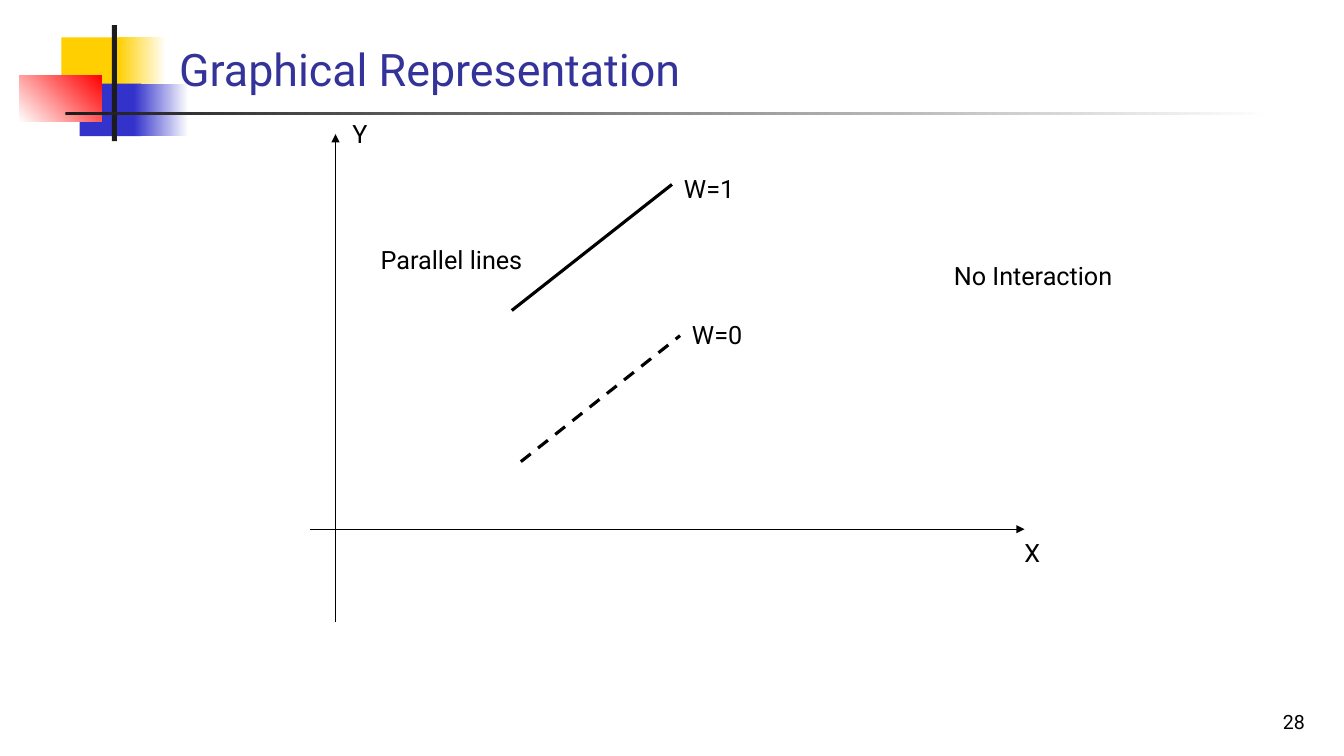
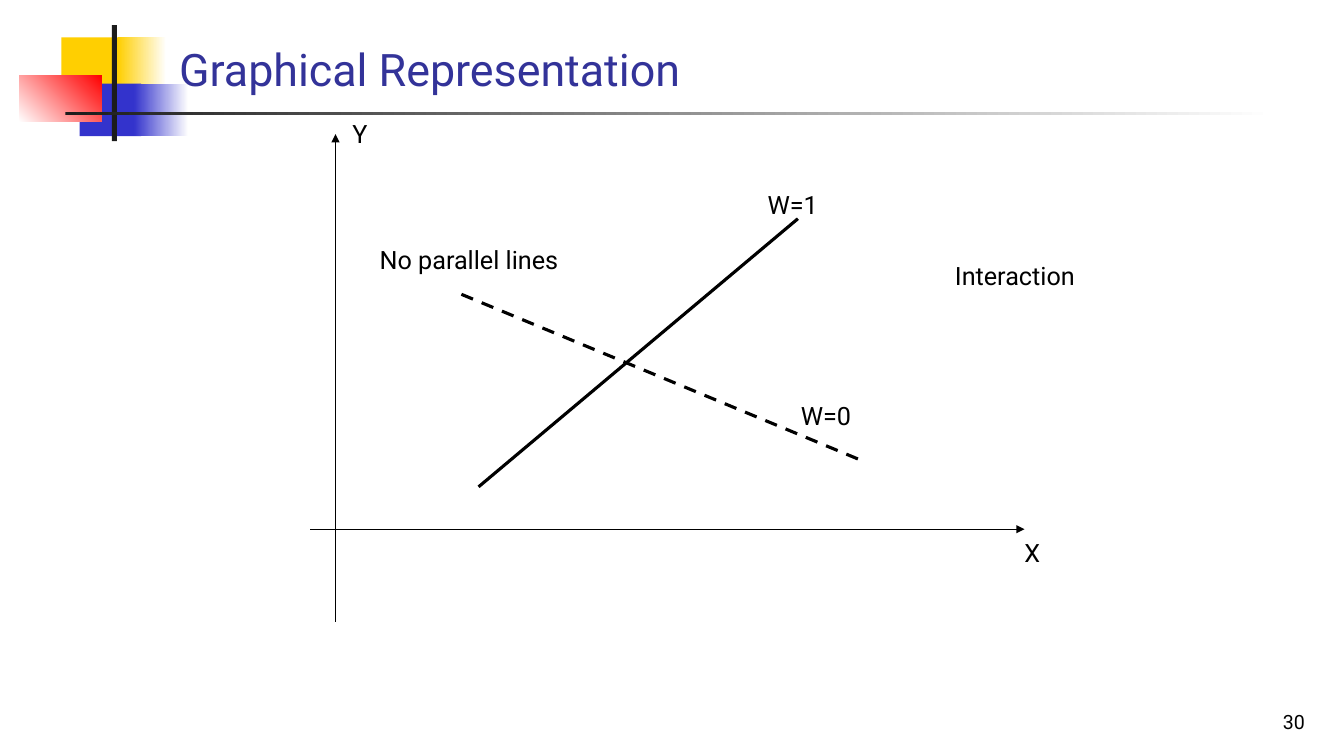
from lxml import etree
from pptx import Presentation
from pptx.dml.color import RGBColor
from pptx.enum.dml import MSO_LINE
from pptx.enum.shapes import MSO_CONNECTOR, MSO_SHAPE
from pptx.enum.text import MSO_ANCHOR, PP_ALIGN
from pptx.oxml.ns import qn
from pptx.util import Inches, Pt

FONT = "Roboto"
BLACK = RGBColor(0x00, 0x00, 0x00)
WHITE = RGBColor(0xFF, 0xFF, 0xFF)
YELLOW = RGBColor(0xFF, 0xCF, 0x01)
BLUE = RGBColor(0x33, 0x33, 0xCC)
RED = RGBColor(0xFF, 0x00, 0x00)
CHARCOAL = RGBColor(0x1C, 0x1C, 0x1C)
TITLE_COLOR = RGBColor(0x33, 0x33, 0x99)

# Shared ornament: box, start colour, end colour, gradient angle
ORNAMENT = [
    ((0.61, 0.37, 0.64, 0.52), YELLOW, YELLOW, 0),
    ((1.17, 0.37, 0.48, 0.52), YELLOW, WHITE, 0),
    ((0.79, 0.83, 0.61, 0.52), BLUE, BLUE, 0),
    ((1.33, 0.83, 0.54, 0.52), BLUE, WHITE, 0),
    ((0.19, 0.75, 0.82, 0.46), WHITE, RED, 45),
    ((1.11, 0.25, 0.05, 1.15), CHARCOAL, CHARCOAL, 0),
    ((0.65, 1.11, 11.99, 0.03), CHARCOAL, WHITE, 0),
]
TITLE = "Graphical Representation"
AXES = [((3.33, 6.17), (3.33, 1.33)), ((3.08, 5.25), (10.17, 5.25))]
AXIS_LABELS = [("X", 10.07, 5.28, 0.34), ("Y", 3.4, 1.12, 0.34)]

# Each slide: number, the two group lines, labels as text, left, top, width
SLIDES = [
    {
        "number": "28",
        "solid": ((5.08, 3.08), (6.67, 1.83)),
        "dashed": ((5.17, 4.58), (6.75, 3.33)),
        "labels": [
            ("W=0", 6.77, 3.12, 0.72),
            ("W=1", 6.69, 1.67, 0.72),
            ("Parallel lines", 3.68, 2.37, 1.68),
            ("No Interaction", 9.37, 2.53, 1.9),
        ],
    },
    {
        "number": "30",
        "solid": ((4.75, 4.83), (7.92, 2.17)),
        "dashed": ((4.58, 2.92), (8.58, 4.58)),
        "labels": [
            ("W=0", 7.85, 3.92, 0.72),
            ("W=1", 7.52, 1.83, 0.72),
            ("No parallel lines", 3.67, 2.37, 2.09),
            ("Interaction", 9.38, 2.53, 1.49),
        ],
    },
]


def add_text(slide, text, box, size=18, color=BLACK, align=PP_ALIGN.LEFT,
             anchor=MSO_ANCHOR.TOP, wrap=False):
    frame = slide.shapes.add_textbox(*map(Inches, box)).text_frame
    frame.word_wrap = wrap
    frame.vertical_anchor = anchor
    paragraph = frame.paragraphs[0]
    paragraph.text = text
    paragraph.alignment = align
    paragraph.font.name = FONT
    paragraph.font.size = Pt(size)
    paragraph.font.color.rgb = color


def add_line(slide, ends, width, dash=None, arrow=False):
    start, end = ends
    connector = slide.shapes.add_connector(
        MSO_CONNECTOR.STRAIGHT, *map(Inches, start + end))
    line = connector.line
    line.color.rgb = BLACK
    line.width = Pt(width)
    if dash:
        line.dash_style = dash
    if arrow:
        etree.SubElement(line._get_or_add_ln(), qn("a:tailEnd"), type="triangle")
    etree.SubElement(connector._element.spPr, qn("a:effectLst"))


presentation = Presentation()
presentation.slide_width = Inches(13.34)
presentation.slide_height = Inches(7.5)
blank_layout = presentation.slide_layouts[6]

for content in SLIDES:
    slide = presentation.slides.add_slide(blank_layout)

    # Corner ornament and title rule
    for box, start_color, end_color, angle in ORNAMENT:
        shape = slide.shapes.add_shape(MSO_SHAPE.RECTANGLE, *map(Inches, box))
        shape.shadow.inherit = False
        shape.line.fill.background()
        if start_color == end_color:
            shape.fill.solid()
            shape.fill.fore_color.rgb = start_color
        else:
            shape.fill.gradient()
            shape.fill.gradient_angle = angle
            for stop, color in zip(shape.fill.gradient_stops, (start_color, end_color)):
                stop.color.rgb = color

    # Title and slide number
    add_text(slide, TITLE, (1.68, 0.23, 11.36, 0.77), 32, TITLE_COLOR,
             anchor=MSO_ANCHOR.BOTTOM, wrap=True)
    add_text(slide, content["number"], (10.27, 6.83, 2.78, 0.5), 14,
             align=PP_ALIGN.RIGHT, anchor=MSO_ANCHOR.BOTTOM, wrap=True)

    # Axes and group lines
    for axis in AXES:
        add_line(slide, axis, 0.75, arrow=True)
    add_line(slide, content["solid"], 2.25)
    add_line(slide, content["dashed"], 2.25, dash=MSO_LINE.DASH)

    # Labels
    for text, left, top, width in AXIS_LABELS + content["labels"]:
        add_text(slide, text, (left, top, width, 0.4))

presentation.save("out.pptx")
